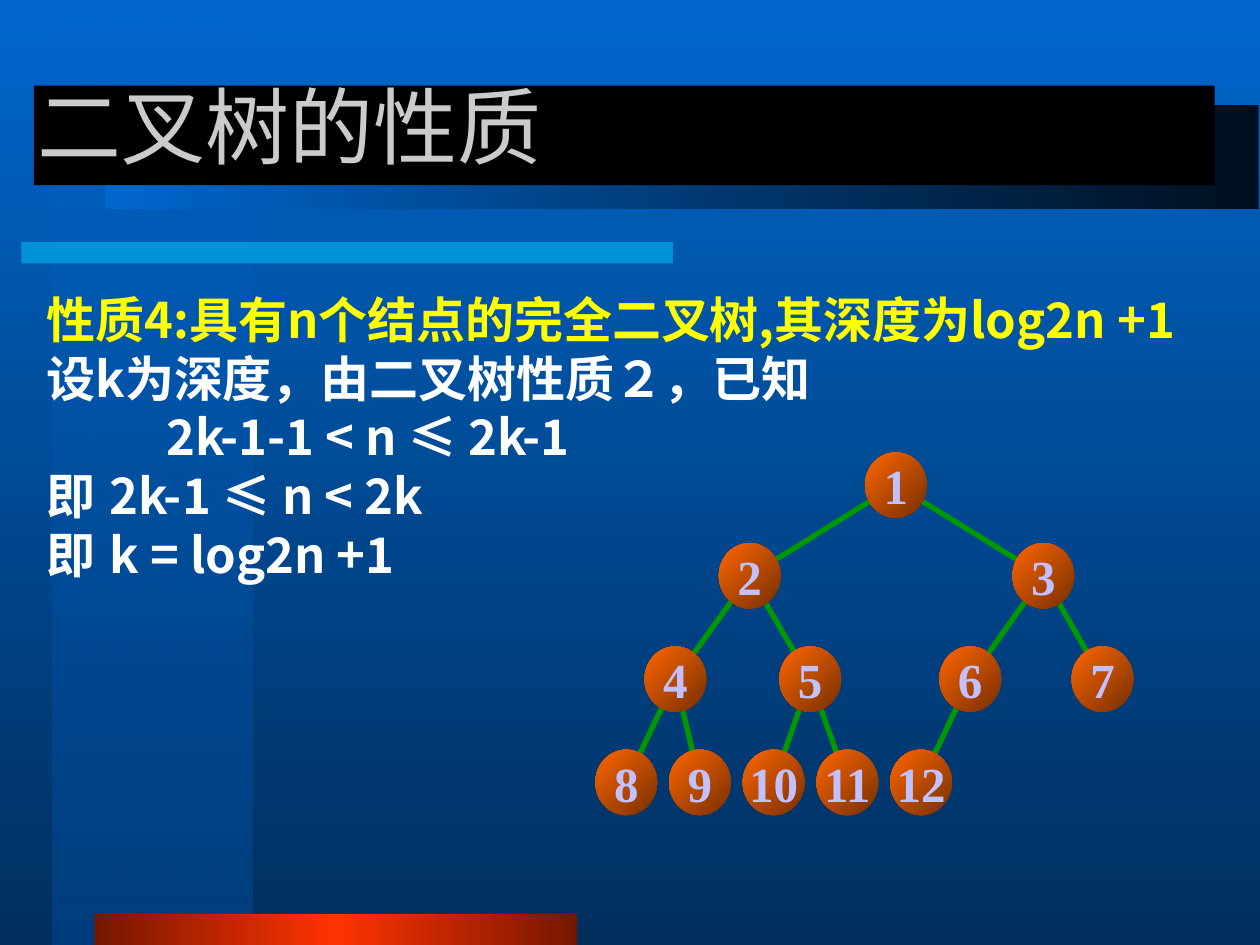
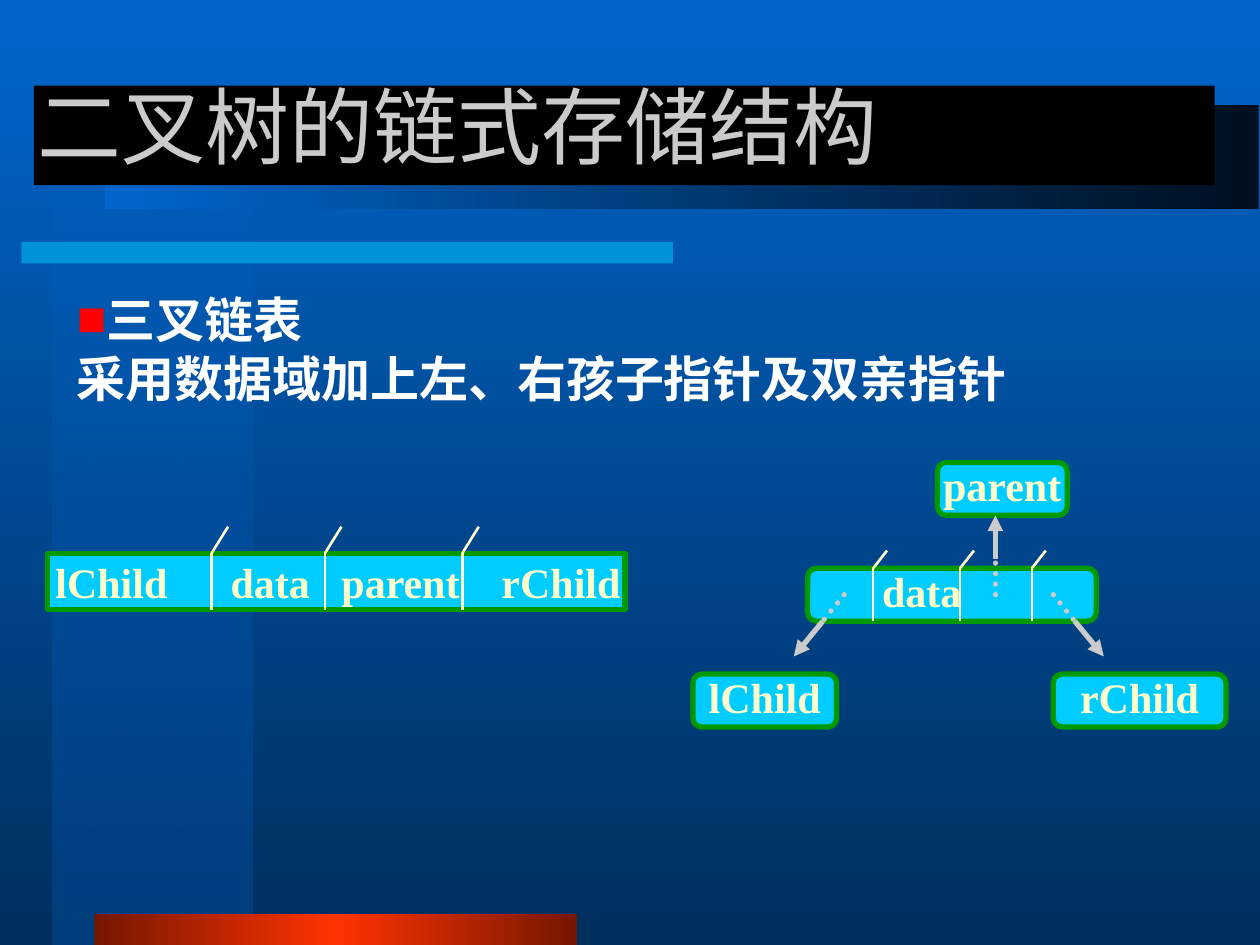
import pptx
import pptx.util
import pptx.dml.color
import pptx.enum.dml
import pptx.enum.shapes
import pptx.enum.text
import pptx.oxml
import pptx.oxml.ns
from lxml import etree

Inches, Pt, qn = pptx.util.Inches, pptx.util.Pt, pptx.oxml.ns.qn
SHAPE = pptx.enum.shapes.MSO_SHAPE
ANCHOR = pptx.enum.text.MSO_ANCHOR
ALIGN = pptx.enum.text.PP_ALIGN

# Shared look
TITLE_FONT, BODY_FONT, LABEL_FONT = "Noto Sans CJK JP", "Noto Sans CJK SC", "Times New Roman"
GREY, WHITE, YELLOW, RED = "CBCBCB", "FFFFFF", "FFFF00", "FF0000"
GREEN, CYAN, CREAM, LILAC = "009900", "00CCFF", "FFFFCC", "C1C1FF"

# Gradients: angle, then (position, colour, opacity)
BACKGROUND = (90, [(0, "0066CC", 100), (100, "002F5E", 100)])
NODE_FILL = (225, [(0, "752F00", 100), (100, "FF6600", 100)])
BANDS = [
    ((0.42, 0, 1.58, 7.5), (90, [(0, "0066CC", 50), (100, "003E7D", 100)])),
    ((0.17, 1.92, 5.17, 0.17), (0, [(0, CYAN, 50), (100, CYAN, 50)])),
    ((0.75, 7.25, 3.83, 0.25),
     (180, [(0, "751700", 100), (50, "FF3300", 100), (100, "751700", 100)])),
    ((0.83, 0.83, 9.16, 0.83), (180, [(0, "000F1F", 100), (100, "0066CC", 100)])),
    ((0.27, 0.68, 9.37, 0.79), "000000"),
]
TITLE_BOX = (0.2, 0.37, 8.5, 1.25)

# Slide 1: paragraphs are (text, colour, indent, tab stop, bullet colour)
PROPERTY_TITLE = "二叉树的性质"
PROPERTY_BOX = (0.27, 2.25, 9.21, 2.9)
PROPERTY_TEXT = [
    ("性质4:具有n个结点的完全二叉树,其深度为log2n +1", YELLOW, 0, None, None),
    ("设k为深度，由二叉树性质２，已知", WHITE, 0, None, None),
    ("2k-1-1 < n ≤ 2k-1", WHITE, 0.95, None, None),
    ("即\t2k-1 ≤ n < 2k", WHITE, 0, 0.95, None),
    ("即\tk = log2n +1", WHITE, 0, 0.75, None),
]
# Tree levels: centre height, node centres; node n hangs from node n // 2
TREE_LEVELS = [
    (3.85, [7.11]),
    (4.57, [5.95, 8.28]),
    (5.39, [5.36, 6.43, 7.7, 8.75]),
    (6.21, [4.97 + 0.585 * i for i in range(5)]),
]
NODE_WIDTH, NODE_HEIGHT = 0.49, 0.52

# Slide 2
LINKED_TITLE = "二叉树的链式存储结构"
LINKED_BOX = (0.51, 2.25, 8.9, 1.04)
LINKED_TEXT = [
    ("三叉链表", WHITE, 0, None, RED),
    ("采用数据域加上左、右孩子指针及双亲指针", WHITE, 0, None, None),
]
FIELD_RECORD = (0.38, 4.39, 4.58, 0.45)
FIELD_TEXT, FIELD_TABS = "lChild\tdata\tparent\trChild", [1.39, 2.27, 3.54]
NODE_RECORD = (6.41, 4.51, 2.29, 0.42)
# Dividers: record, positions, tick width, tick height
DIVIDERS = [
    (FIELD_RECORD, [1.68, 2.58, 3.67], 0.13, 0.21),
    (NODE_RECORD, [6.93, 7.62, 8.19], 0.11, 0.14),
]
RELATIVES = [
    ("parent", (7.44, 3.67, 1.03, 0.42)),
    ("lChild", (5.5, 5.35, 1.14, 0.42)),
    ("rChild", (8.36, 5.35, 1.37, 0.42)),
]
# Pointers: dotted start, record edge, arrow tip
POINTERS = [
    ((7.9, 4.72), (7.9, 4.44), (7.9, 4.09)),
    ((6.7, 4.72), (6.53, 4.93), (6.3, 5.21)),
    ((8.36, 4.72), (8.53, 4.93), (8.76, 5.21)),
]


def rgb(value):
    return pptx.dml.color.RGBColor.from_string(value)


def set_gradient(holder, gradient):
    """Replace the solid fill inside holder by a linear gradient."""
    angle, stops = gradient
    fill = etree.Element(qn("a:gradFill"), rotWithShape="1")
    stop_list = etree.SubElement(fill, qn("a:gsLst"))
    for position, colour, opacity in stops:
        stop = etree.SubElement(stop_list, qn("a:gs"), pos=str(position * 1000))
        shade = etree.SubElement(stop, qn("a:srgbClr"), val=colour)
        if opacity < 100:
            etree.SubElement(shade, qn("a:alpha"), val=str(opacity * 1000))
    etree.SubElement(fill, qn("a:lin"), ang=str(angle * 60000), scaled="0")
    holder.replace(holder.find(qn("a:solidFill")), fill)


def place(shape, box):
    shape.left, shape.top, shape.width, shape.height = map(Inches, box)


def add_box(slide, kind, box, fill, line=None):
    shape = slide.shapes.add_shape(kind, *map(Inches, box))
    shape.shadow.inherit = False
    shape.fill.solid()
    if isinstance(fill, str):
        shape.fill.fore_color.rgb = rgb(fill)
    else:
        set_gradient(shape.element.spPr, fill)
    if line:
        shape.line.color.rgb = rgb(line)
        shape.line.width = Pt(3)
    else:
        shape.line.fill.background()
    return shape


def add_line(slide, start, end, colour, width, arrow=False, dotted=False):
    line = slide.shapes.add_connector(
        pptx.enum.shapes.MSO_CONNECTOR.STRAIGHT, *map(Inches, (*start, *end)))
    line.line.color.rgb = rgb(colour)
    line.line.width = Pt(width)
    if dotted:
        line.line.dash_style = pptx.enum.dml.MSO_LINE.ROUND_DOT
        line.line._get_or_add_ln().set("cap", "rnd")
    if arrow:
        etree.SubElement(line.line._get_or_add_ln(), qn("a:tailEnd"), type="triangle")
    etree.SubElement(line.element.spPr, qn("a:effectLst"))


def style_runs(para, size, font, colour, bold=True):
    for span in para.runs:
        span.font.size, span.font.bold, span.font.name = Pt(size), bold, font
        span.font.color.rgb = rgb(colour)
        etree.SubElement(span.font._element, qn("a:ea"), typeface=font)


def add_tabs(para, stops):
    tab_list = etree.SubElement(para._p.get_or_add_pPr(), qn("a:tabLst"))
    for stop in stops:
        etree.SubElement(tab_list, qn("a:tab"), pos=str(Inches(stop)), algn="l")


def set_label(shape, text, size, colour, left=None, tabs=(), lift=0):
    """Label a shape: centred, or starting at a left inset."""
    frame = shape.text_frame
    frame.margin_left, frame.margin_right = Inches(left or 0), 0
    frame.margin_top, frame.margin_bottom = 0, Inches(lift)
    frame.vertical_anchor, frame.word_wrap = ANCHOR.MIDDLE, False
    frame.text = text
    para = frame.paragraphs[0]
    para.alignment = ALIGN.CENTER if left is None else ALIGN.LEFT
    if tabs:
        add_tabs(para, tabs)
    style_runs(para, size, LABEL_FONT, colour)


def build_master(deck, slide):
    """Move the background and bands to the master, behind everything."""
    master = deck.slide_master
    master.background.fill.solid()
    set_gradient(master.element.find(".//" + qn("p:bgPr")), BACKGROUND)
    for index, (box, fill) in enumerate(BANDS):
        band = add_box(slide, SHAPE.RECTANGLE, box, fill)
        band.element.nvSpPr.cNvPr.set("id", str(100 + index))
        master.shapes.element.insert(2 + index, band.element)


def fill_text(slide, title, box, paragraphs):
    heading, body = slide.shapes.title, slide.placeholders[1]
    place(heading, TITLE_BOX)
    heading.text_frame.text = title
    heading.text_frame.vertical_anchor = ANCHOR.MIDDLE
    heading.text_frame.paragraphs[0].alignment = ALIGN.LEFT
    style_runs(heading.text_frame.paragraphs[0], 48, TITLE_FONT, GREY, bold=False)

    place(body, box)
    frame = body.text_frame
    frame.auto_size = pptx.enum.text.MSO_AUTO_SIZE.NONE
    frame.text = "\n".join(entry[0] for entry in paragraphs)
    for para, (_, colour, indent, tab, bullet) in zip(frame.paragraphs, paragraphs):
        para.space_before, para.line_spacing = Pt(0), Pt(33.5)
        props = para._p.get_or_add_pPr()
        props.set("marL", str(Inches(indent)))
        props.set("indent", "0")
        if bullet:
            shade = etree.SubElement(props, qn("a:buClr"))
            etree.SubElement(shade, qn("a:srgbClr"), val=bullet)
            etree.SubElement(props, qn("a:buChar"), char="■")
        else:
            etree.SubElement(props, qn("a:buNone"))
        if tab:
            add_tabs(para, [tab])
        style_runs(para, 28, BODY_FONT, colour)


def draw_tree(slide):
    centres = [(x, y) for y, row in TREE_LEVELS for x in row]
    for number in range(2, len(centres) + 1):
        add_line(slide, centres[number // 2 - 1], centres[number - 1], GREEN, 3)
    for number, (x, y) in enumerate(centres, 1):
        box = (x - NODE_WIDTH / 2, y - NODE_HEIGHT / 2, NODE_WIDTH, NODE_HEIGHT)
        node = add_box(slide, SHAPE.OVAL, box, NODE_FILL)
        set_label(node, str(number), 28, LILAC)


def draw_records(slide):
    record = add_box(slide, SHAPE.RECTANGLE, FIELD_RECORD, CYAN, GREEN)
    set_label(record, FIELD_TEXT, 24, CREAM, left=0.06, tabs=FIELD_TABS)
    node = add_box(slide, SHAPE.ROUNDED_RECTANGLE, NODE_RECORD, CYAN, GREEN)
    set_label(node, "data", 24, CREAM, left=0.57, lift=0.06)
    for name, box in RELATIVES:
        relative = add_box(slide, SHAPE.ROUNDED_RECTANGLE, box, CYAN, GREEN)
        set_label(relative, name, 24, CREAM, lift=0.06)

    # Field dividers with slanted ticks
    for (_, top, _, height), positions, tick_width, tick_height in DIVIDERS:
        for x in positions:
            add_line(slide, (x, top + height), (x, top), CREAM, 1.5)
            add_line(slide, (x, top), (x + tick_width, top - tick_height), CREAM, 1.5)

    # Pointers: dotted inside the record, solid outside
    for start, edge, tip in POINTERS:
        add_line(slide, start, edge, GREY, 3, dotted=True)
        add_line(slide, edge, tip, GREY, 3, arrow=True)


def main():
    deck = pptx.Presentation()
    deck.slide_width, deck.slide_height = Inches(10), Inches(7.5)
    layout = deck.slide_layouts[1]

    property_slide = deck.slides.add_slide(layout)
    build_master(deck, property_slide)
    fill_text(property_slide, PROPERTY_TITLE, PROPERTY_BOX, PROPERTY_TEXT)
    draw_tree(property_slide)

    linked_slide = deck.slides.add_slide(layout)
    fill_text(linked_slide, LINKED_TITLE, LINKED_BOX, LINKED_TEXT)
    draw_records(linked_slide)

    deck.save("out.pptx")


if __name__ == "__main__":
    main()
